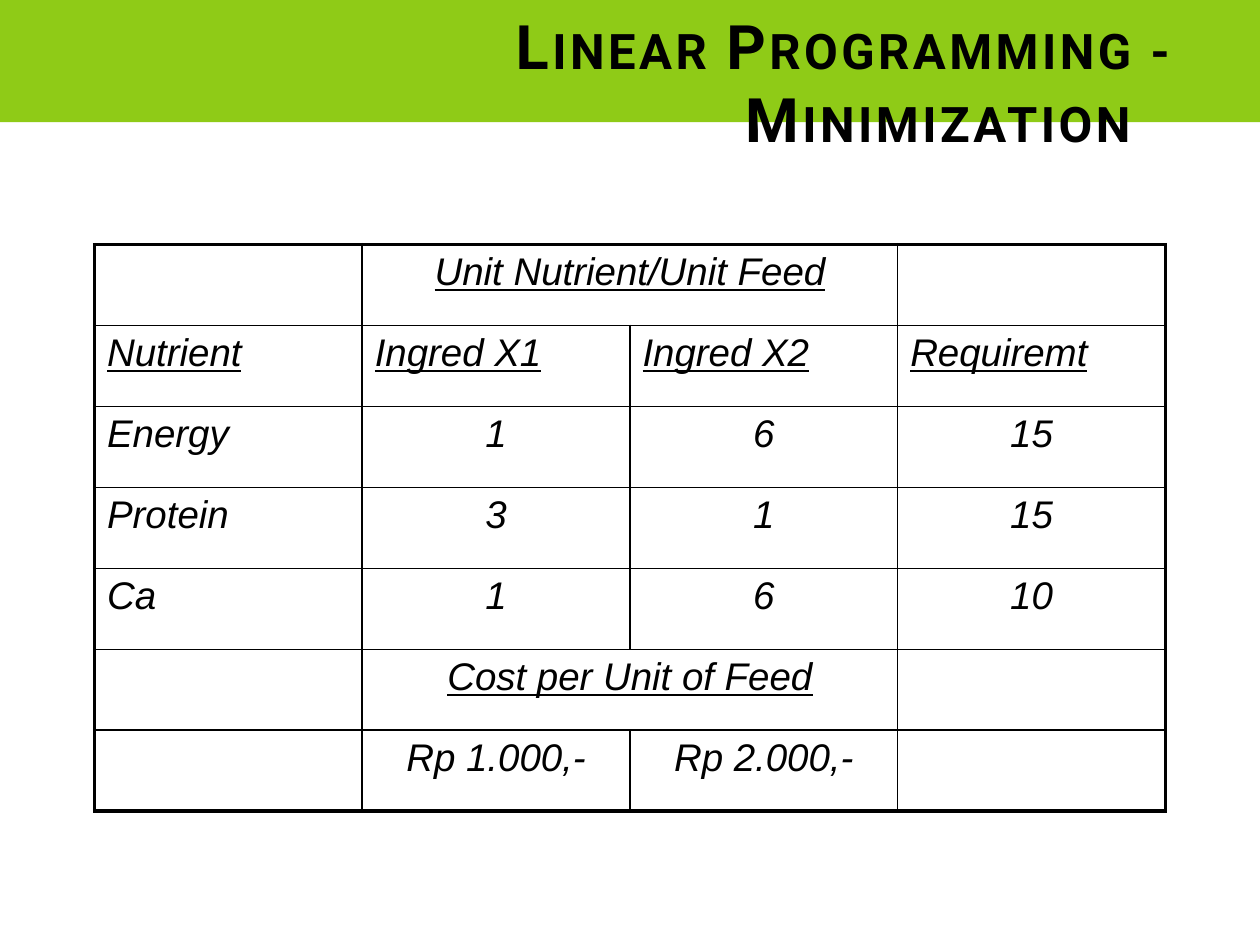
from lxml import etree
from pptx import Presentation, util as u
from pptx.dml.color import RGBColor
from pptx.enum import shapes, text
from pptx.oxml.ns import qn

BLACK = RGBColor(0x00, 0x00, 0x00)
GREEN = RGBColor(0x8F, 0xCB, 0x17)
LEFT, CENTER, RIGHT = text.PP_ALIGN.LEFT, text.PP_ALIGN.CENTER, text.PP_ALIGN.RIGHT

TITLE = "Linear Programming - Minimization"
ROWS = [
    ["", "Unit Nutrient/Unit Feed", "", ""],
    ["Nutrient", "Ingred X1", "Ingred X2", "Requiremt"],
    ["Energy", "1", "6", "15"],
    ["Protein", "3", "1", "15"],
    ["Ca", "1", "6", "10"],
    ["", "Cost per Unit of Feed", "", ""],
    ["", "Rp 1.000,-", "Rp 2.000,-", ""],
]
HEADING_ROW = 1
SPANNING_ROWS = (0, 5)  # columns 1 and 2 are joined here
WIDTH, HEIGHT = 10, 7.5
TABLE_BOX = (0.75, 1.94, 8.5, 4.5)
INNER_LINE, OUTER_LINE = 1, 2.25


def write(frame, content, align=LEFT, font="Arial", size=22, bold=False, italic=False,
          underline=False, small_caps=False, tracking=0, space_before=0):
    paragraph = frame.paragraphs[0]
    paragraph.alignment = align
    paragraph.space_before = u.Pt(space_before)
    run = paragraph.add_run()
    run.text = content
    run.font.name, run.font.size = font, u.Pt(size)
    run.font.bold, run.font.italic, run.font.underline = bold, italic, underline
    run.font.color.rgb = BLACK
    properties = run.font._element
    if small_caps:
        properties.set("cap", "small")
    if tracking:
        properties.set("spc", str(tracking * 100))


def set_borders(cell, widths):
    """Draw black borders; widths maps L, R, T and B to points, in that order."""
    properties = cell._tc.get_or_add_tcPr()
    for side, width in widths.items():
        line = etree.SubElement(properties, qn(f"a:ln{side}"), w=str(u.Pt(width)))
        fill = etree.SubElement(line, qn("a:solidFill"))
        etree.SubElement(fill, qn("a:srgbClr"), val=str(BLACK))


def add_banner(slide):
    banner = slide.shapes.add_shape(shapes.MSO_SHAPE.RECTANGLE, 0, 0, u.Inches(WIDTH), u.Inches(0.97))
    banner.shadow.inherit = False
    banner.fill.solid()
    banner.fill.fore_color.rgb = GREEN
    banner.line.fill.background()


def add_title(slide):
    title = slide.shapes.add_textbox(*map(u.Inches, (1.38, 0.29, 8.03, 0.71)))
    frame = title.text_frame
    frame.word_wrap = True
    frame.vertical_anchor = text.MSO_ANCHOR.MIDDLE
    write(frame, TITLE, align=RIGHT, font="Roboto", size=35, bold=True, small_caps=True, tracking=2)


def add_feed_table(slide):
    row_count, column_count = len(ROWS), len(ROWS[0])
    table = slide.shapes.add_table(row_count, column_count, *map(u.Inches, TABLE_BOX)).table
    table.first_row = table.horz_banding = False
    for row in SPANNING_ROWS:
        table.cell(row, 1).merge(table.cell(row, 2))
    for row, values in enumerate(ROWS):
        for column, value in enumerate(values):
            cell = table.cell(row, column)
            on_edge = {"L": column == 0, "R": column == column_count - 1,
                       "T": row == 0, "B": row == row_count - 1}
            set_borders(cell, {side: OUTER_LINE if outer else INNER_LINE
                               for side, outer in on_edge.items()})
            cell.fill.background()
            if value:
                heading = row == HEADING_ROW
                write(cell.text_frame, value, align=LEFT if heading or column == 0 else CENTER,
                      italic=True, underline=heading or row in SPANNING_ROWS, space_before=4.4)


def main():
    presentation = Presentation()
    presentation.slide_width, presentation.slide_height = u.Inches(WIDTH), u.Inches(HEIGHT)
    slide = presentation.slides.add_slide(presentation.slide_layouts[6])
    add_banner(slide)
    add_title(slide)
    add_feed_table(slide)
    presentation.save("out.pptx")


if __name__ == "__main__":
    main()
